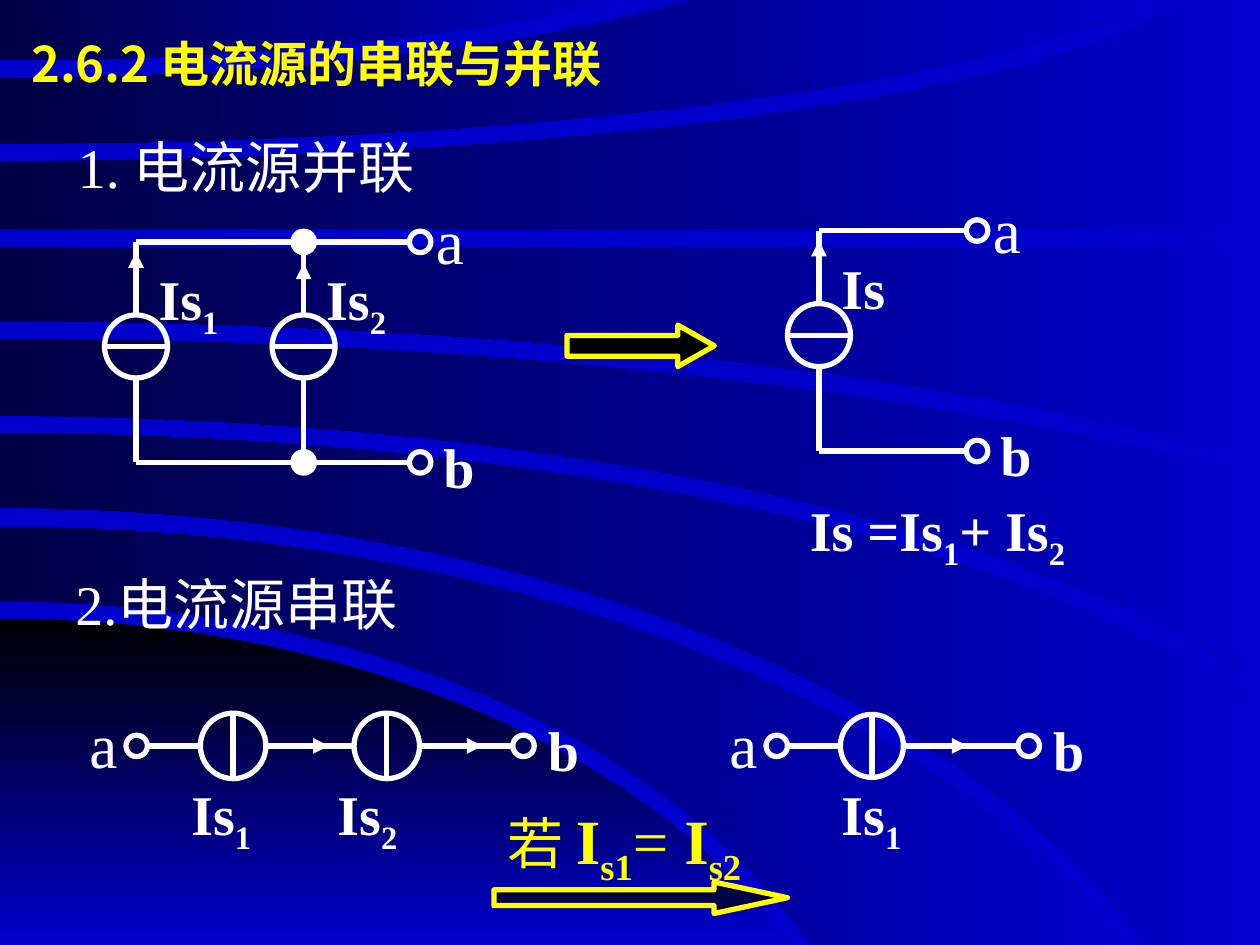
from math import sqrt

from lxml import etree
from pptx import Presentation
from pptx.dml.color import RGBColor
from pptx.enum.shapes import MSO_CONNECTOR, MSO_SHAPE
from pptx.enum.text import MSO_ANCHOR, PP_ALIGN
from pptx.oxml.ns import qn
from pptx.util import Cm, Pt

STRAIGHT = MSO_CONNECTOR.STRAIGHT
OVAL, RIGHT_ARROW = MSO_SHAPE.OVAL, MSO_SHAPE.RIGHT_ARROW
TOP, MIDDLE = MSO_ANCHOR.TOP, MSO_ANCHOR.MIDDLE
LEFT, CENTER = PP_ALIGN.LEFT, PP_ALIGN.CENTER
SERIF, SANS = "Times New Roman", "Noto Sans CJK SC"
WHITE, YELLOW, BLACK, NAVY, BLUE = "FFFFFF", "FFFF00", "000000", "000044", "0000CC"
WIDTH, HEIGHT = 10, 7.5
RING = 0.17
CURVE_STEPS = 24

CORNER = ((4.91, 7, 4.64), (HEIGHT, 0, 0))
BANDS = [
    ((4.18, 9.9, 5.81), (4.77, 7, 4.51)),
    ((3.44, 11.1, 3.82), (4.03, 9.9, 5.71)),
    ((2.69, 14, 3.67), (3.3, 11.1, 3.75)),
    ((1.96, WIDTH, 0), (2.55, 13, 3.02)),
    ((1.28, 9.65, -1.64), (1.82, WIDTH, 0)),
    ((0.62, 7, -1.63), (1.14, 9.6, -1.65)),
    ((0, 0, 0), (0.48, 7.3, -1.83)),
]


def rgb(color):
    return RGBColor.from_string(color)


def span(inches):
    return Cm(inches * 2.54)


def spans(*values):
    return [span(value) for value in values]


def trace_edge(start, reach, depth):
    if depth == 0:
        return [(0, start), (reach, start)]
    limit = HEIGHT if depth > 0 else 0
    drop = min(1, (limit - start) / depth)
    last = min(WIDTH, reach * sqrt(1 - (1 - drop) ** 2))
    xs = [last * step / CURVE_STEPS for step in range(CURVE_STEPS + 1)]
    return [(x, start + depth * (1 - sqrt(1 - (x / reach) ** 2))) for x in xs]


def add_swoosh(slide, edges, start, end, angle):
    upper, lower = [trace_edge(*edge) for edge in edges]
    ends = [upper[-1], lower[-1]]
    corner = (max(ends)[0], min(ends)[1])
    points = [tuple(spans(*point)) for point in upper + [corner] + lower[::-1]]
    builder = slide.shapes.build_freeform(*points[0], scale=1.0)
    builder.add_line_segments(points[1:], close=True)
    shape = builder.convert_to_shape()
    shape.shadow.inherit = False
    shape.line.fill.background()
    shape.fill.gradient()
    shape.fill.gradient_angle = angle
    for stop, color in zip(shape.fill.gradient_stops, (start, end)):
        stop.color.rgb = rgb(color)


def add_outlined(slide, kind, left, top, width, height, line=WHITE, fill=None):
    shape = slide.shapes.add_shape(kind, *spans(left, top, width, height))
    shape.shadow.inherit = False
    shape.line.color.rgb = rgb(line)
    shape.line.width = Pt(3)
    if fill:
        shape.fill.solid()
        shape.fill.fore_color.rgb = rgb(fill)
    else:
        shape.fill.background()
    return shape


def add_circle(slide, x, y, diameter, fill=None):
    add_outlined(slide, OVAL, x - diameter / 2, y - diameter / 2, diameter, diameter, fill=fill)


def add_wire(slide, x1, y1, x2, y2, arrow=False):
    wire = slide.shapes.add_connector(STRAIGHT, *spans(x1, y1, x2, y2))
    wire.line.color.rgb = rgb(WHITE)
    wire.line.width = Pt(3)
    properties = wire._element.spPr
    if arrow:
        etree.SubElement(properties.find(qn("a:ln")), qn("a:tailEnd"), type="triangle")
    etree.SubElement(properties, qn("a:effectLst"))


def add_label(slide, left, top, width, height, parts, size=32, bold=True, color=WHITE,
              font=SERIF, anchor=TOP, align=LEFT, indent=0.1):
    frame = slide.shapes.add_textbox(*spans(left, top, width, height)).text_frame
    frame.word_wrap = True
    frame.vertical_anchor = anchor
    frame.margin_left, frame.margin_top = spans(indent, 0.1)
    paragraph = frame.paragraphs[0]
    paragraph.alignment = align
    paragraph.font.name = font
    paragraph.font.size = Pt(size)
    paragraph.font.bold = bold
    paragraph.font.color.rgb = rgb(color)
    defaults = paragraph._p.pPr.find(qn("a:defRPr"))
    etree.SubElement(defaults, qn("a:ea"), typeface=SANS)
    for part in parts:
        run = paragraph.add_run()
        run.text = part.lstrip("_")
        if part.startswith("_"):
            run._r.get_or_add_rPr().set("baseline", "-25000")
    return paragraph


def add_terminal_a(slide, left, top):
    add_label(slide, left, top, 1, 0.7, ["a"], size=36, bold=False, indent=0.21)


def draw_background(slide):
    slide.background.fill.solid()
    slide.background.fill.fore_color.rgb = rgb(BLUE)
    add_swoosh(slide, CORNER, BLACK, BLUE, 270)
    for band in BANDS:
        add_swoosh(slide, band, NAVY, BLUE, 0)


def draw_parallel(slide, left, top, length, branches):
    end, bottom = left + length, top + 1.75
    for y in (top, bottom):
        add_wire(slide, left, y, end, y)
        add_circle(slide, end + RING / 2, y, RING)
    for offset, parts, tip in branches:
        x, middle = left + offset, top + 0.83
        add_circle(slide, x, middle, 0.5)
        add_wire(slide, x - 0.25, middle, x + 0.25, middle)
        add_wire(slide, x, middle - 0.25, x, top)
        add_wire(slide, x, middle + 0.25, x, bottom)
        add_wire(slide, x, top + tip + 0.42, x, top + tip, arrow=True)
        add_label(slide, x + 0.08, top + 0.08, 1.42, 0.63, parts)
        if offset:
            for y in (top, bottom):
                add_circle(slide, x, y, RING, WHITE)
    add_terminal_a(slide, end, top - 0.42)
    add_label(slide, end + 0.17, bottom - 0.34, 1.25, 0.63, ["b"])


def draw_series(slide, left, top, diameter, length, sources):
    y, radius = top + 0.42, diameter / 2
    start, end = left + 0.67, left + length
    add_terminal_a(slide, left, top)
    add_circle(slide, start - RING / 2, y, RING)
    for offset, label_offset, parts in sources:
        x = left + offset
        add_wire(slide, start, y, x - radius, y)
        add_circle(slide, x, y, diameter)
        add_wire(slide, x, y - radius, x, y + radius)
        add_wire(slide, x + 0.41, y, x + 0.76, y, arrow=True)
        add_label(slide, left + label_offset, top + 0.59, 1.5, 0.63, parts)
        start = x + radius
    add_wire(slide, start, y, end, y)
    add_circle(slide, end + RING / 2, y, RING)
    add_label(slide, end + 0.18, top + 0.08, 0.83, 0.63, ["b"])


def draw_arrow(slide, left, top, width, height, head, fill):
    arrow = add_outlined(slide, RIGHT_ARROW, left, top, width, height, YELLOW, fill)
    arrow.adjustments[1] = head


def draw_condition(slide, left, top):
    draw_arrow(slide, left + 0.34, top + 0.67, 2.33, 0.25, 2.33, NAVY)
    paragraph = add_label(slide, left, top, 2.75, 0.7, ["若 ", "I", "_s1", "= ", "I", "_s2"],
                          size=36, color=YELLOW, anchor=MIDDLE, align=CENTER)
    paragraph.runs[0].font.size = Pt(32)
    for index in (0, 3):
        paragraph.runs[index].font.bold = False


def main():
    presentation = Presentation()
    presentation.slide_width, presentation.slide_height = spans(WIDTH, HEIGHT)
    slide = presentation.slides.add_slide(presentation.slide_layouts[6])
    draw_background(slide)
    add_label(slide, 0.15, 0.17, 7.5, 0.57, ["2.6.2 电流源的串联与并联"], 28, True, YELLOW, SANS)
    add_label(slide, 0.52, 0.67, 4.25, 1.25, ["1. 电流源并联"], bold=False, anchor=MIDDLE)
    draw_parallel(slide, 1.08, 1.92, 2.17, [(0, ["Is", "_1"], 0.08), (1.33, ["Is", "_2"], 0.17)])
    draw_arrow(slide, 4.5, 2.58, 1.17, 0.33, 0.88, BLACK)
    draw_parallel(slide, 6.5, 1.83, 1.17, [(0, ["Is"], 0.08)])
    add_label(slide, 6.33, 3.83, 2.5, 0.63, ["Is =Is", "_1", "+ Is", "_2"])
    add_label(slide, 0.5, 4.42, 4.42, 0.63, ["2.电流源串联"], bold=False)
    draw_series(slide, 0.5, 5.5, 0.52, 3.57,
                [(1.35, 0.92, ["Is", "_1"]), (2.57, 2.08, ["Is", "_2"])])
    draw_series(slide, 5.58, 5.5, 0.5, 2.5, [(1.34, 1, ["Is", "_1"])])
    draw_condition(slide, 3.58, 6.33)
    presentation.save("out.pptx")


if __name__ == "__main__":
    main()
